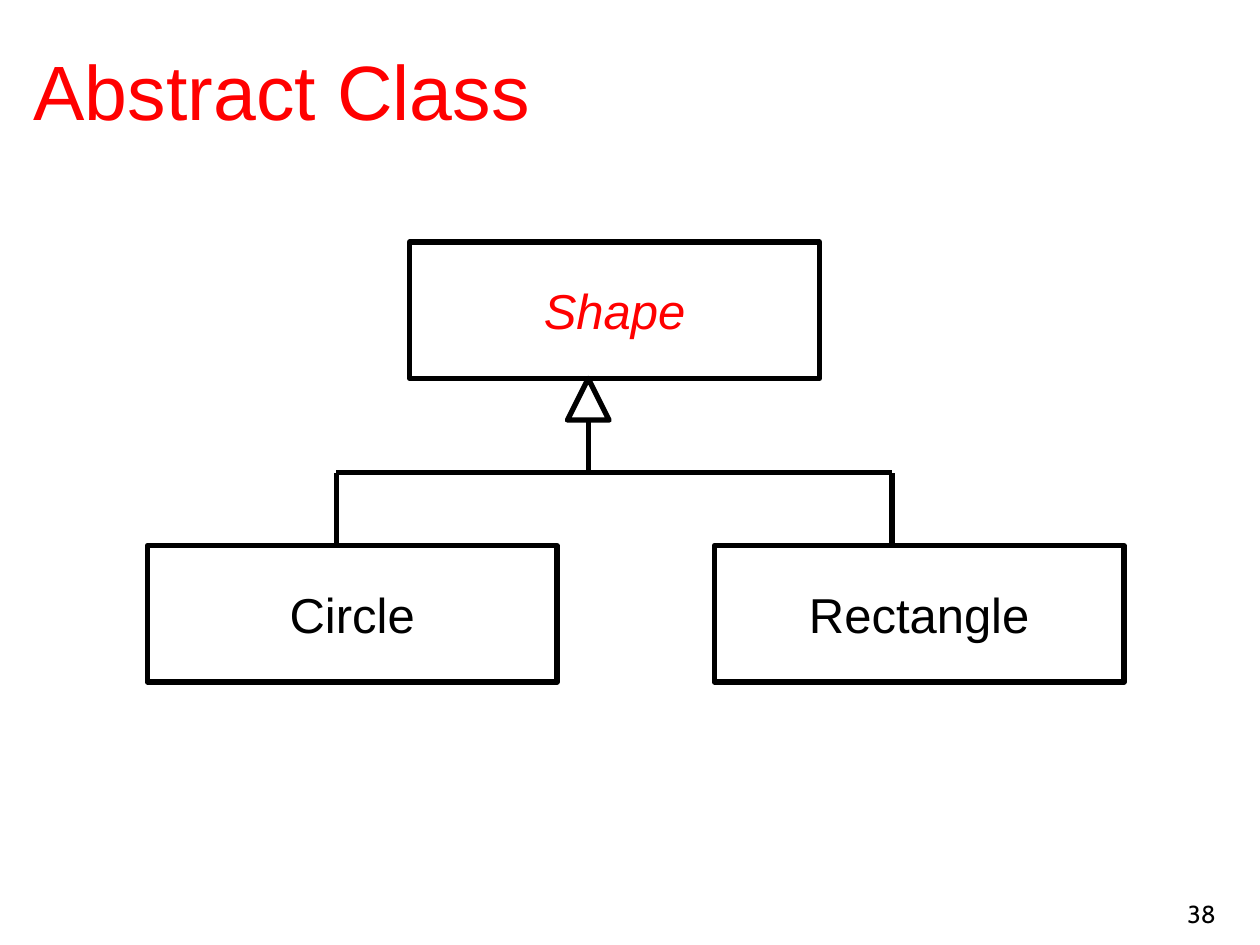
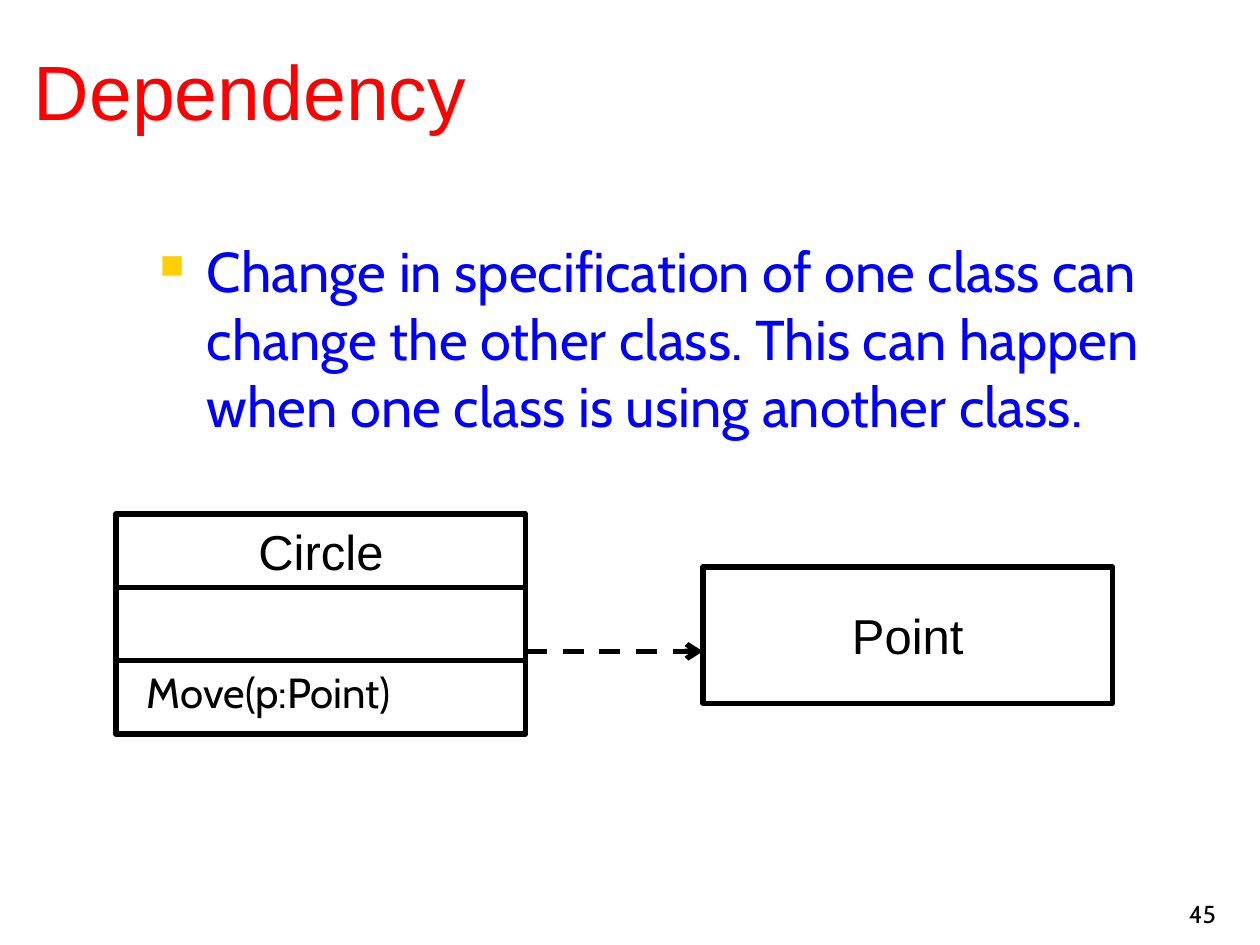
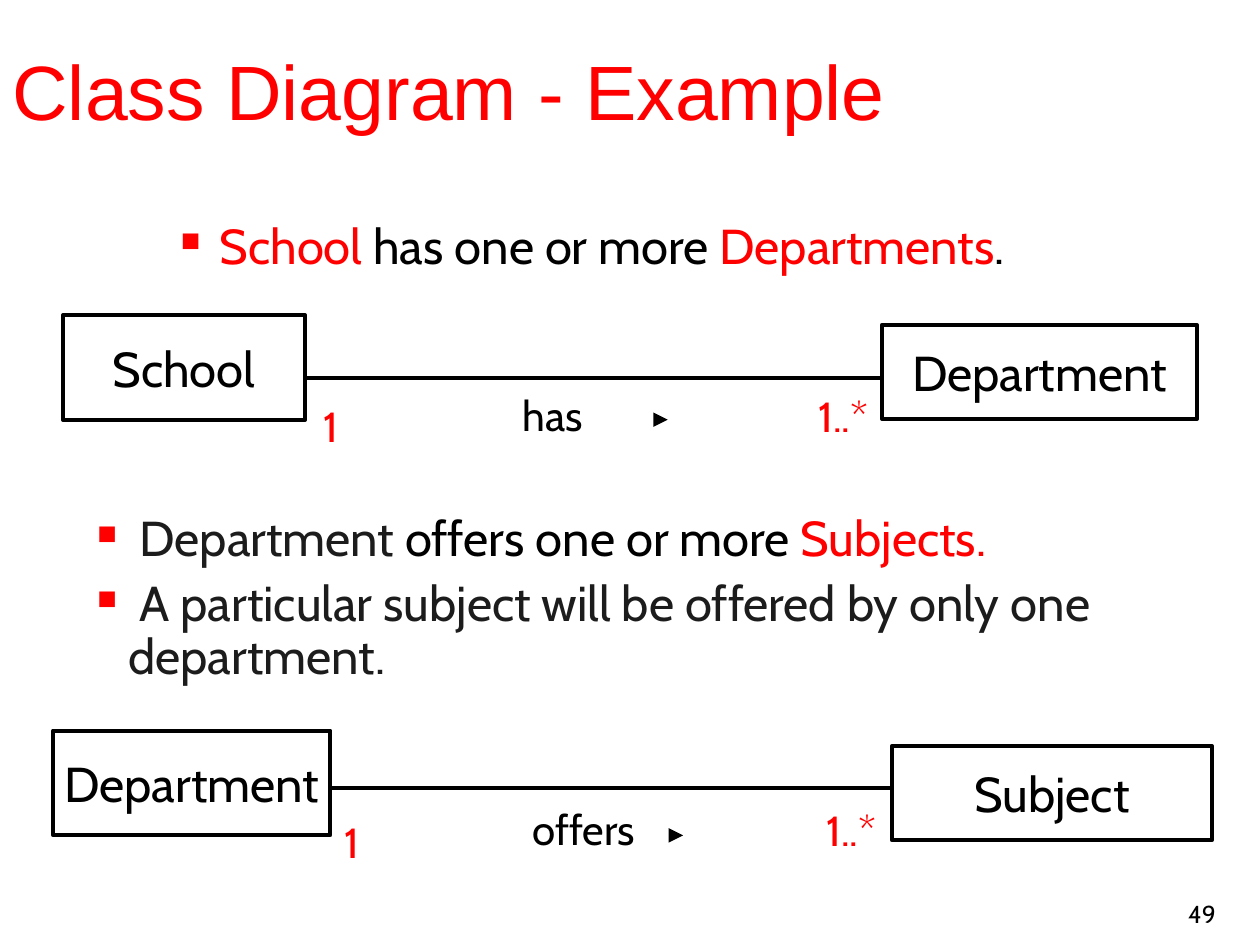
from pptx import Presentation
from pptx.dml.color import RGBColor
from pptx.enum.dml import MSO_LINE
from pptx.enum.shapes import MSO_CONNECTOR, MSO_SHAPE
from pptx.enum.text import MSO_ANCHOR, PP_ALIGN
from pptx.oxml.ns import qn
from pptx.util import Cm, Pt
from lxml.etree import SubElement

# Shared look
RED, BLUE, BLACK, WHITE = "FF0000", "0000FF", "000000", "FFFFFF"
GREY, GOLD = "1C1C1C", "FFCF01"
HEADING_FONT, BODY_FONT = "Arial", "Cabin"
CLASS_SIZE = (8.26, 2.75)
ROW_HEIGHT = 1.48

# Slide content: lengths in cm
TITLES = [("Abstract Class", 38, 0.43), ("Dependency", 45, 0.43),
          ("Class Diagram - Example", 49, 0)]
PARENT = ("Shape", 8.26, 4.88)
CHILDREN = [("Circle", 2.97, 11, 6.78), ("Rectangle", 14.4, 11, 17.98)]
BAR_Y, STEM_X, HEAD_SIZE = 9.53, 11.86, 0.84

DEPENDENCY_TEXT = [[("Change in specification of one class can change the other class. "
                     "This can happen when one class is using another class.", BLUE)]]
CIRCLE_LEFT, CIRCLE_TOP = 2.34, 10.36
POINT = ("Point", 14.17, 11.43)
DEPENDENCY_Y = 13.13

SCHOOL_TEXT = [[("School", RED), (" has one or more ", BLACK),
                ("Departments", RED), (".", BLACK)]]
DEPARTMENT_TEXT = [
    [(" Department", GREY), (" offers one or more ", BLACK), ("Subjects.", RED)],
    [(" A particular subject will be offered by only one department.", GREY)],
]
ASSOCIATIONS = [
    {"source": ("School", 1.27, 6.35, 4.88, 2.12),
     "target": ("Department", 17.78, 6.55, 6.35, 1.9),
     "line_y": 7.62, "pointer": (13.34, 13.46, 8.46),
     "labels": [("has", 10.28, 7.72, BLACK), ("1", 5.72, 7.95, RED),
                ("1..*", 16.05, 7.75, RED)]},
    {"source": ("Department", 1.07, 14.73, 5.59, 2.11),
     "target": ("Subject", 17.98, 15.04, 6.45, 1.9),
     "line_y": 15.88, "pointer": (13.56, 13.77, 16.84),
     "labels": [("offers", 10.49, 16.08, BLACK), ("1", 6.15, 16.33, RED),
                ("1..*", 16.21, 16.1, RED)]},
]


def color(value):
    return RGBColor.from_string(value)


def style_span(span, size, font, tint, italic=False):
    span.font.size = Pt(size)
    span.font.name = font
    span.font.color.rgb = color(tint)
    span.font.italic = italic


def add_text(page, text, left, top, width, height, size, font=BODY_FONT, tint=BLACK,
             align=PP_ALIGN.LEFT, anchor=MSO_ANCHOR.TOP):
    box = page.shapes.add_textbox(Cm(left), Cm(top), Cm(width), Cm(height))
    frame = box.text_frame
    frame.word_wrap = True
    frame.vertical_anchor = anchor
    frame.text = text
    para = frame.paragraphs[0]
    para.alignment = align
    style_span(para.runs[0], size, font, tint)


def add_bullets(page, paragraphs, left, top, width, height, size, bullet_color,
                bullet_percent, margin, hanging, before, spacing=None):
    box = page.shapes.add_textbox(Cm(left), Cm(top), Cm(width), Cm(height))
    frame = box.text_frame
    frame.word_wrap = True
    for index, spans in enumerate(paragraphs):
        para = frame.add_paragraph() if index else frame.paragraphs[0]
        para.space_before = Pt(before)
        if spacing:
            para.line_spacing = spacing
        for text, tint in spans:
            span = para.add_run()
            span.text = text
            style_span(span, size, BODY_FONT, tint)
        # Bullet
        properties = para._p.get_or_add_pPr()
        properties.set("marL", str(Cm(margin)))
        properties.set("indent", str(-Cm(hanging)))
        tint_node = SubElement(properties, qn("a:buClr"))
        SubElement(tint_node, qn("a:srgbClr"), val=bullet_color)
        SubElement(properties, qn("a:buSzPct"), val=str(bullet_percent * 1000))
        SubElement(properties, qn("a:buChar"), char="■")


def add_outline(page, kind, left, top, width, height, weight=3):
    shape = page.shapes.add_shape(kind, Cm(left), Cm(top), Cm(width), Cm(height))
    shape.shadow.inherit = False
    shape.fill.solid()
    shape.fill.fore_color.rgb = color(WHITE)
    shape.line.color.rgb = color(BLACK)
    shape.line.width = Pt(weight)
    return shape


def add_class(page, name, left, top, width=CLASS_SIZE[0], height=CLASS_SIZE[1],
              font=HEADING_FONT, tint=BLACK, italic=False, weight=3):
    shape = add_outline(page, MSO_SHAPE.RECTANGLE, left, top, width, height, weight)
    if name:
        frame = shape.text_frame
        frame.word_wrap = False
        frame.vertical_anchor = MSO_ANCHOR.MIDDLE
        frame.text = name
        para = frame.paragraphs[0]
        para.alignment = PP_ALIGN.CENTER
        style_span(para.runs[0], 28, font, tint, italic)


def add_line(page, x1, y1, x2, y2, weight=3, head=None, dashed=False):
    line = page.shapes.add_connector(MSO_CONNECTOR.STRAIGHT, Cm(x1), Cm(y1), Cm(x2), Cm(y2))
    line.line.color.rgb = color(BLACK)
    line.line.width = Pt(weight)
    if dashed:
        line.line.dash_style = MSO_LINE.DASH
    properties = line._element.spPr
    if head:
        SubElement(properties.find(qn("a:ln")), qn("a:tailEnd"), type=head)
    SubElement(properties, qn("a:effectLst"))


def add_page(deck, title, number, title_left):
    page = deck.slides.add_slide(deck.slide_layouts[6])
    add_text(page, str(number), 19.48, 17.58, 5.28, 1.27, 14,
             align=PP_ALIGN.RIGHT, anchor=MSO_ANCHOR.BOTTOM)
    add_text(page, title, title_left, 0.43, 24.41, 2.74, 44, HEADING_FONT, RED,
             anchor=MSO_ANCHOR.MIDDLE)
    return page


def draw_inheritance(page):
    name, left, top = PARENT
    add_class(page, name, left, top, tint=RED, italic=True)
    for name, left, child_top, line_x in CHILDREN:
        add_class(page, name, left, child_top)
        add_line(page, line_x, child_top, line_x, BAR_Y)
    add_line(page, CHILDREN[0][3], BAR_Y, CHILDREN[1][3], BAR_Y)
    # Hollow arrowhead under the parent
    head_top = top + CLASS_SIZE[1]
    add_line(page, STEM_X, BAR_Y, STEM_X, head_top + HEAD_SIZE)
    add_outline(page, MSO_SHAPE.ISOSCELES_TRIANGLE, STEM_X - HEAD_SIZE / 2, head_top,
                HEAD_SIZE, HEAD_SIZE)


def draw_dependency(page):
    add_bullets(page, DEPENDENCY_TEXT, 2.97, 4.65, 22.43, 12.37, 32, GOLD, 60,
                0.95, 0.95, 8)
    # Class with name, attribute and method rows
    for row, name in enumerate(["Circle", "", ""]):
        add_class(page, name, CIRCLE_LEFT, CIRCLE_TOP + row * ROW_HEIGHT, height=ROW_HEIGHT)
    add_text(page, "Move(p:Point)", 2.41, CIRCLE_TOP + 2 * ROW_HEIGHT, 6.02, 1.27, 24,
             align=PP_ALIGN.CENTER)
    add_class(page, *POINT)
    add_line(page, CIRCLE_LEFT + CLASS_SIZE[0], DEPENDENCY_Y, POINT[1], DEPENDENCY_Y,
             head="arrow", dashed=True)


def draw_associations(page):
    add_bullets(page, SCHOOL_TEXT, 2.12, 4.23, 22.43, 2, 28, RED, 55, 2.06, 0.79, 7)
    add_bullets(page, DEPARTMENT_TEXT, 1.07, 10.24, 24.2, 3.71, 28, RED, 55,
                1.27, 0.63, 7, 0.9)
    for link in ASSOCIATIONS:
        source, target, y = link["source"], link["target"], link["line_y"]
        for part in (source, target):
            add_class(page, *part, font=BODY_FONT, weight=2.25)
        add_line(page, source[1] + source[3], y, target[1], y, 2.25)
        start, end, pointer_y = link["pointer"]
        add_line(page, start, pointer_y, end, pointer_y, 2.75, "triangle")
        for text, left, top, tint in link["labels"]:
            if tint == RED:
                add_text(page, text, left, top, 1.9, 1.27, 24, tint=tint,
                         align=PP_ALIGN.CENTER)
            else:
                add_text(page, text, left, top, 3, 1.27, 24, tint=tint)


def main():
    deck = Presentation()
    deck.slide_width, deck.slide_height = Cm(25.4), Cm(19.05)
    drawings = [draw_inheritance, draw_dependency, draw_associations]
    for heading, draw in zip(TITLES, drawings):
        draw(add_page(deck, *heading))
    deck.save("out.pptx")


if __name__ == "__main__":
    main()
